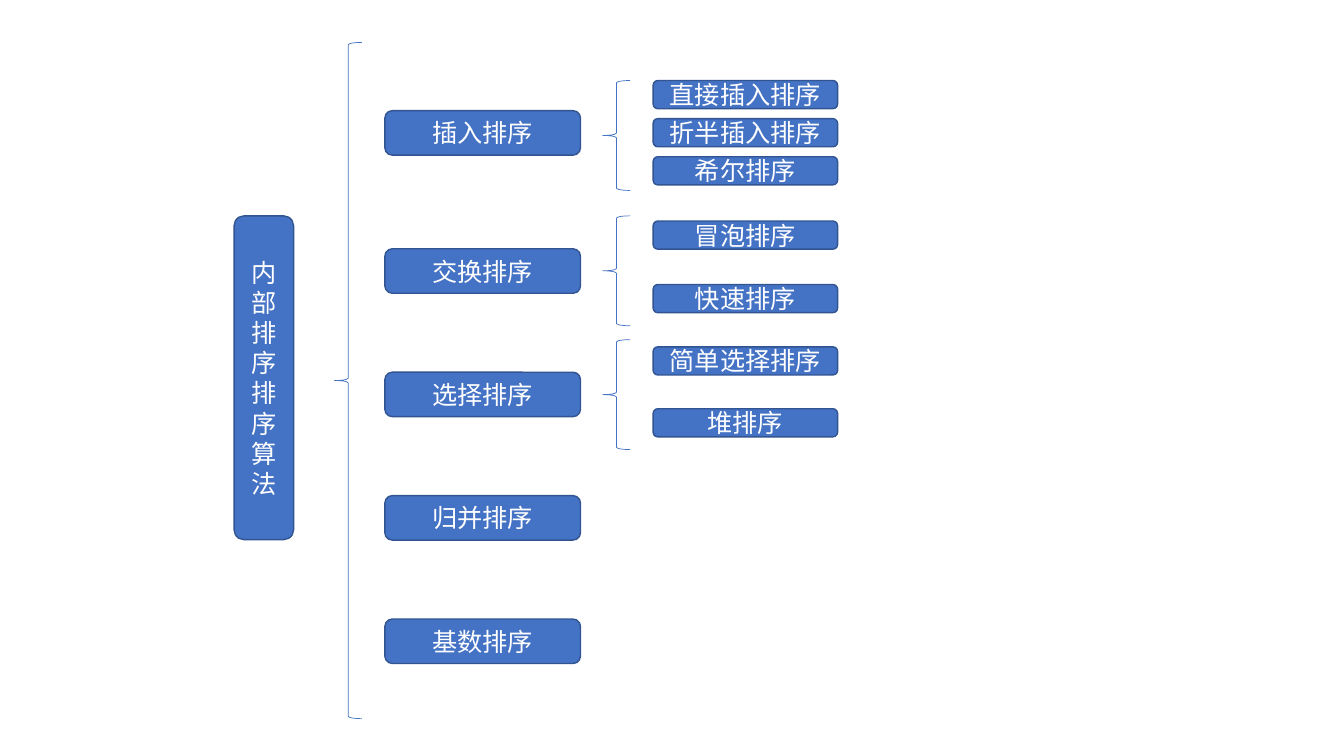
from collections import namedtuple
from dataclasses import dataclass

from pptx import Presentation
from pptx import util as u
from pptx.dml import color
from pptx.enum import shapes, text

Box = namedtuple("Box", "left top width height")
Branch = namedtuple("Branch", "name leaves group_top leaf_inset leaf_pitch",
                    defaults=((), 0, 0, 0))


@dataclass(frozen=True)
class Theme:
    fill: color.RGBColor = color.RGBColor(0x44, 0x72, 0xC4)
    outline: color.RGBColor = color.RGBColor(0x32, 0x54, 0x91)
    ink: color.RGBColor = color.RGBColor(0xFF, 0xFF, 0xFF)
    font: str = "Times New Roman"
    size: u.Pt = u.Pt(18)
    box_line: u.Pt = u.Pt(1)
    brace_line: u.Pt = u.Pt(0.5)


THEME = Theme()
BRACE_WIDTH = 0.69
BRANCH_HEIGHT = 1.12
BRANCH_PITCH = 3.11
LEAF_HEIGHT = 0.71

# Group tops and leaf insets are in centimetres.
BRANCHES = [
    Branch("插入排序", ("直接插入排序", "折半插入排序", "希尔排序"), 2.03, 0, 0.96),
    Branch("交换排序", ("冒泡排序", "快速排序"), 5.44, 0.13, 1.6),
    Branch("选择排序", ("简单选择排序", "堆排序"), 8.56, 0.18, 1.56),
    Branch("归并排序"),
    Branch("基数排序"),
]


def add_shape(page, kind, box):
    shape = page.shapes.add_shape(kind, *(u.Cm(length) for length in box))
    shape.shadow.inherit = False
    return shape


def add_node(page, box, label):
    node = add_shape(page, shapes.MSO_SHAPE.ROUNDED_RECTANGLE, box)
    node.fill.solid()
    node.fill.fore_color.rgb = THEME.fill
    node.line.color.rgb = THEME.outline
    node.line.width = THEME.box_line
    frame = node.text_frame
    frame.word_wrap = True
    frame.vertical_anchor = text.MSO_ANCHOR.MIDDLE
    para = frame.paragraphs[0]
    para.alignment = text.PP_ALIGN.CENTER
    span = para.add_run()
    span.text = label
    span.font.name = THEME.font
    span.font.size = THEME.size
    span.font.color.rgb = THEME.ink


def add_brace(page, box):
    brace = add_shape(page, shapes.MSO_SHAPE.LEFT_BRACE, box)
    brace.fill.background()
    brace.line.color.rgb = THEME.fill
    brace.line.width = THEME.brace_line


def add_root(page, box, label):
    """Place the tall root node and the brace that spans the whole box."""
    add_node(page, Box(box.left, box.top + 4.37, 1.5, 8.16), label)
    add_brace(page, Box(box.left + box.width - BRACE_WIDTH, box.top,
                        BRACE_WIDTH, box.height))


def add_branches(page, box):
    """Stack the branches evenly up from the bottom; the first stands a little higher."""
    last = box.top + box.height - BRANCH_HEIGHT
    for steps, branch in enumerate(reversed(BRANCHES)):
        top = box.top if branch is BRANCHES[0] else last - steps * BRANCH_PITCH
        add_node(page, Box(box.left, top, box.width, BRANCH_HEIGHT), branch.name)


def add_leaf_group(page, box, branch):
    add_brace(page, Box(box.left, box.top, BRACE_WIDTH, box.height))
    leaf_left = box.left + 1.27
    leaf_width = box.left + box.width - leaf_left
    for row, name in enumerate(branch.leaves):
        top = box.top + branch.leaf_inset + row * branch.leaf_pitch
        add_node(page, Box(leaf_left, top, leaf_width, LEAF_HEIGHT), name)


def main():
    deck = Presentation()
    deck.slide_width, deck.slide_height = u.Cm(33.87), u.Cm(19.05)
    page = deck.slides.add_slide(deck.slide_layouts[6])
    add_root(page, Box(5.9, 1.07, 3.22, 17.04), "内部排序排序算法")
    add_branches(page, Box(9.7, 2.79, 4.93, 13.93))
    for branch in BRANCHES:
        if branch.leaves:
            add_leaf_group(page, Box(15.19, branch.group_top, 5.92, 2.77), branch)
    deck.save("out.pptx")


if __name__ == "__main__":
    main()
